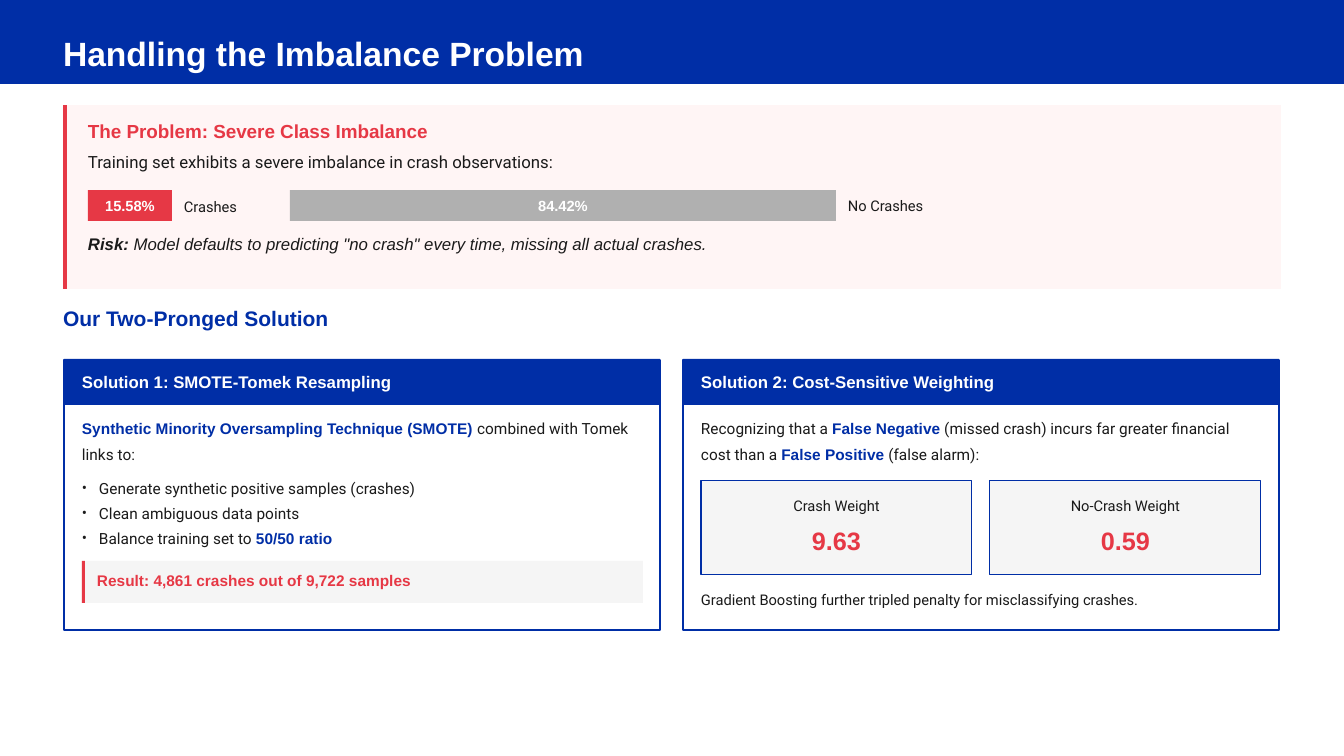
from dataclasses import dataclass, replace

from lxml.etree import SubElement
from pptx import Presentation
from pptx.dml.color import RGBColor
from pptx.enum.shapes import MSO_SHAPE
from pptx.enum.text import MSO_ANCHOR, PP_ALIGN
from pptx.oxml.ns import qn
from pptx.util import Pt

EMU_PER_PX = 914400 / 100.8
BLUE = RGBColor(0x00, 0x2E, 0xA6)
RED = RGBColor(0xE6, 0x38, 0x45)
PINK = RGBColor(0xFF, 0xF5, 0xF5)
GRAY = RGBColor(0xB0, 0xB0, 0xB0)
PALE = RGBColor(0xF5, 0xF5, 0xF5)
INK = RGBColor(0x1A, 0x1A, 0x1A)
WHITE = RGBColor(0xFF, 0xFF, 0xFF)


def px(length):
    return round(length * EMU_PER_PX)


@dataclass(frozen=True)
class Style:
    size: float
    color: RGBColor = INK
    name: str = "Roboto"
    bold: bool = False
    italic: bool = False
    strong_color: RGBColor = BLUE
    line_spacing: float = 1.0
    space_before: float = 0

    def apply(self, font):
        font.name, font.size = self.name, Pt(self.size)
        font.bold, font.italic = self.bold, self.italic
        font.color.rgb = self.color


LABEL = Style(10.5)
LEAD = Style(12)
BODY = Style(11, line_spacing=1.36)
BAR_LABEL = Style(10.5, WHITE, "Arial", bold=True)
CARD_TITLE = replace(BAR_LABEL, size=12)
RISK = Style(12, name="Arial", italic=True, strong_color=INK)
WEIGHT = Style(18, RED, "Arial", bold=True, space_before=8)


class SlideBuilder:
    def __init__(self, deck):
        self.page = deck.slides.add_slide(deck.slide_layouts[5])

    def title(self, left, top, width, height, text, style):
        box = self.page.shapes.title
        box.left, box.top, box.width, box.height = map(px, (left, top, width, height))
        self.fill_text(box, [(text, style)])
        self.page.shapes._spTree.append(box._element)

    def rectangle(self, left, top, width, height, fill=None, line=None, line_width=0.75):
        box = self.page.shapes.add_shape(
            MSO_SHAPE.RECTANGLE, *map(px, (left, top, width, height)))
        box.shadow.inherit = False
        if fill is None:
            box.fill.background()
        else:
            box.fill.solid()
            box.fill.fore_color.rgb = fill
        if line is None:
            box.line.fill.background()
        else:
            box.line.color.rgb = line
            box.line.width = Pt(line_width)
        return box

    def accent_panel(self, left, top, width, height, fill, accent_width):
        self.rectangle(left, top, width, height, fill)
        self.rectangle(left, top, accent_width, height, RED)

    def text(self, left, top, width, height, lines, anchor=MSO_ANCHOR.MIDDLE):
        box = self.page.shapes.add_textbox(*map(px, (left, top, width, height)))
        self.fill_text(box, lines, anchor=anchor)
        return box

    def bullets(self, left, top, width, height, lines):
        box = self.text(left, top, width, height, lines, MSO_ANCHOR.TOP)
        for para in box.text_frame.paragraphs:
            properties = para._p.get_or_add_pPr()
            properties.set("marL", str(px(17)))
            properties.set("indent", str(-px(17)))
            default_font = properties.find(qn("a:defRPr"))
            bullet_font = SubElement(properties, qn("a:buFont"), typeface="Roboto")
            bullet = SubElement(properties, qn("a:buChar"), char="•")
            default_font.addprevious(bullet_font)
            default_font.addprevious(bullet)

    def bar(self, left, width, fill, text):
        box = self.rectangle(left, 190, width, 31, fill)
        self.fill_text(box, [(text, BAR_LABEL)], PP_ALIGN.CENTER)

    def card(self, left, title):
        self.rectangle(left, 360, 596, 270, line=BLUE, line_width=1.5)
        header = self.rectangle(left, 359, 596, 46, BLUE)
        self.fill_text(header, [(title, CARD_TITLE)], margin_left=18)

    def weight(self, left, label, value):
        box = self.rectangle(left, 481, 271, 94, PALE, BLUE)
        self.fill_text(box, [(label, LABEL), (value, WEIGHT)], PP_ALIGN.CENTER,
                       MSO_ANCHOR.TOP, margin_top=16)

    def fill_text(self, box, lines, align=PP_ALIGN.LEFT, anchor=MSO_ANCHOR.MIDDLE,
                  margin_left=0, margin_top=0):
        frame = box.text_frame
        frame.word_wrap = True
        frame.vertical_anchor = anchor
        frame.margin_left, frame.margin_top = px(margin_left), px(margin_top)
        frame.margin_right = frame.margin_bottom = 0
        for index, (text, style) in enumerate(lines):
            para = frame.add_paragraph() if index else frame.paragraphs[0]
            para.alignment = align
            para.line_spacing = style.line_spacing
            para.space_before = Pt(style.space_before)
            style.apply(para.font)
            strong = replace(style, name="Arial", bold=True, color=style.strong_color)
            for position, piece in enumerate(text.split("*")):
                if piece:
                    span = para.add_run()
                    span.text = piece
                    if position % 2:
                        strong.apply(span.font)


def main():
    deck = Presentation()
    deck.slide_width, deck.slide_height = px(1344), px(756)
    slide = SlideBuilder(deck)

    slide.rectangle(0, 0, 1344, 84, BLUE)
    slide.title(63, 26, 788, 54, "Handling the Imbalance Problem",
                Style(24, WHITE, "Arial", bold=True))

    slide.accent_panel(63, 105, 1218, 184, PINK, 4)
    slide.text(88, 119, 469, 24, [("The Problem: Severe Class Imbalance",
                                   Style(13.5, RED, "Arial", bold=True))])
    slide.text(88, 150, 500, 24, [
        ("Training set exhibits a severe imbalance in crash observations:", LEAD)])
    slide.bar(88, 84, RED, "15.58%")
    slide.text(184, 197, 80, 20, [("Crashes", LABEL)])
    slide.bar(290, 546, GRAY, "84.42%")
    slide.text(848, 196, 100, 20, [("No Crashes", LABEL)])
    slide.text(88, 232, 660, 24, [
        ('*Risk:* Model defaults to predicting "no crash" every time, '
         "missing all actual crashes.", RISK)])
    slide.text(63, 305, 400, 26, [("Our Two-Pronged Solution",
                                   Style(15, BLUE, "Arial", bold=True))])

    slide.card(64, "Solution 1: SMOTE-Tomek Resampling")
    slide.text(82, 413, 558, 53, [
        ("*Synthetic Minority Oversampling Technique (SMOTE)* "
         "combined with Tomek links to:", BODY)], MSO_ANCHOR.TOP)
    slide.bullets(82, 472, 400, 78, [
        ("Generate synthetic positive samples (crashes)", BODY),
        ("Clean ambiguous data points", BODY),
        ("Balance training set to *50/50 ratio*", BODY)])
    slide.accent_panel(82, 561, 561, 42, PALE, 3)
    slide.text(97, 569, 540, 22, [("Result: 4,861 crashes out of 9,722 samples",
                                   Style(11, RED, "Arial", bold=True))])

    slide.card(683, "Solution 2: Cost-Sensitive Weighting")
    slide.text(701, 413, 550, 53, [
        ("Recognizing that a *False Negative* (missed crash) incurs far greater "
         "financial cost than a *False Positive* (false alarm):", BODY)], MSO_ANCHOR.TOP)
    slide.weight(701, "Crash Weight", "9.63")
    slide.weight(990, "No-Crash Weight", "0.59")
    slide.text(701, 590, 480, 20, [
        ("Gradient Boosting further tripled penalty for misclassifying crashes.", LABEL)])

    deck.save("out.pptx")


if __name__ == "__main__":
    main()
